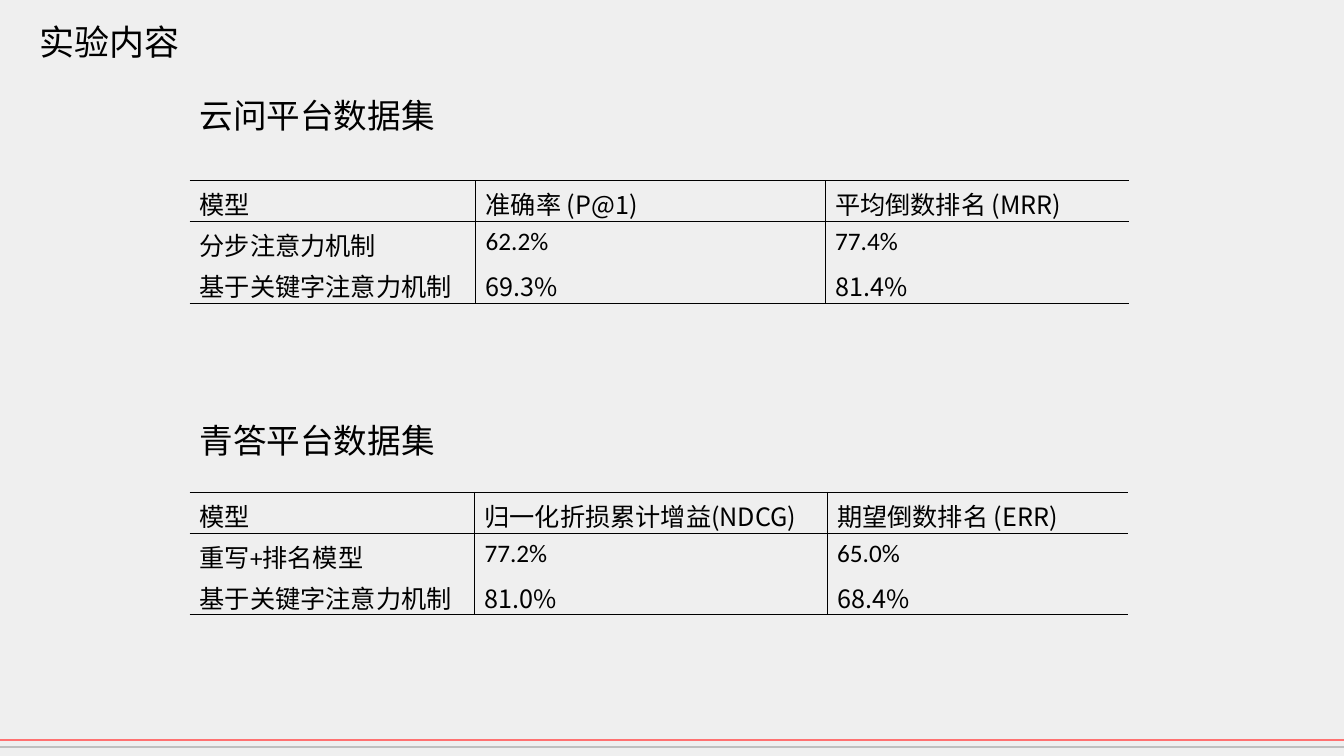
"""Build the slide that compares attention models on two platform data sets."""
from lxml.etree import SubElement
from pptx import Presentation
from pptx.dml.color import RGBColor
from pptx.enum.shapes import MSO_CONNECTOR
from pptx.enum.text import MSO_ANCHOR, PP_ALIGN
from pptx.oxml.ns import qn
from pptx.util import Cm, Pt

TITLE = "实验内容"
DATASETS = [
    {
        "heading": "云问平台数据集", "heading_top": 2.26, "table_top": 4.55,
        "columns": [7.21, 8.81, 7.65], "row_height": 1.03,
        "rows": [
            ("模型", "准确率 (P@1)", "平均倒数排名 (MRR)"),
            ("分步注意力机制", "62.2%", "77.4%"),
            ("基于关键字注意力机制", "69.3%", "81.4%"),
        ],
    },
    {
        "heading": "青答平台数据集", "heading_top": 10.46, "table_top": 12.4,
        "columns": [7.18, 8.89, 7.59], "row_height": 1.03,
        "rows": [
            ("模型", "归一化折损累计增益(NDCG)", "期望倒数排名 (ERR)"),
            ("重写+排名模型", "77.2%", "65.0%"),
            ("基于关键字注意力机制", "81.0%", "68.4%"),
        ],
    },
]
CJK_FONT = "Noto Sans CJK SC"
ROW_FONTS = [CJK_FONT, "Calibri", CJK_FONT]

BLACK = RGBColor(0x00, 0x00, 0x00)
BACKGROUND = RGBColor(0xEF, 0xEF, 0xEF)
RED = RGBColor(0xFF, 0x71, 0x71)
GREY = RGBColor(0xBF, 0xBF, 0xBF)
FOOTER_RULES = [(18.64, RED), (18.82, GREY)]

SLIDE_WIDTH, SLIDE_HEIGHT = Cm(33.88), Cm(19.05)
CONTENT_LEFT = Cm(4.78)
BORDER_WIDTH = Pt(0.45)


def write(frame, text, size, font_name):
    frame.text = text
    paragraph = frame.paragraphs[0]
    paragraph.alignment = PP_ALIGN.LEFT
    font = paragraph.runs[0].font
    font.size, font.name = Pt(size), font_name
    font.color.rgb = BLACK
    SubElement(font._element, qn("a:ea"), typeface=CJK_FONT)


def set_borders(cell, ruled_sides):
    properties = cell._tc.get_or_add_tcPr()
    for position, side in enumerate(("L", "R", "T", "B")):
        border = properties.makeelement(qn(f"a:ln{side}"), {"w": str(BORDER_WIDTH)})
        properties.insert(position, border)
        if side in ruled_sides:
            fill = SubElement(border, qn("a:solidFill"))
            SubElement(fill, qn("a:srgbClr"), val=str(BLACK))
        else:
            SubElement(border, qn("a:noFill"))


def add_footer_rule(slide, top, color):
    rule = slide.shapes.add_connector(
        MSO_CONNECTOR.STRAIGHT, 0, Cm(top), SLIDE_WIDTH, Cm(top))
    rule.line.color.rgb = color
    rule.line.width = Pt(1.5)
    SubElement(rule._element.spPr, qn("a:effectLst"))


def add_dataset(slide, dataset):
    heading = slide.shapes.add_textbox(
        CONTENT_LEFT, Cm(dataset["heading_top"]), Cm(7.29), Cm(1.27))
    heading.text_frame.word_wrap = True
    write(heading.text_frame, dataset["heading"], 24, "Arial")

    rows, columns = dataset["rows"], dataset["columns"]
    table = slide.shapes.add_table(
        len(rows), len(columns), CONTENT_LEFT, Cm(dataset["table_top"]),
        Cm(sum(columns)), Cm(dataset["row_height"] * len(rows))).table
    table.first_row = table.horz_banding = False
    for column, width in zip(table.columns, columns):
        column.width = Cm(width)
    for r, (row, font_name) in enumerate(zip(rows, ROW_FONTS)):
        table.rows[r].height = Cm(dataset["row_height"])
        for c, text in enumerate(row):
            cell = table.cell(r, c)
            cell.fill.background()
            write(cell.text_frame, text, 18, font_name)
            rules = {
                "L": c > 0,
                "R": c < len(columns) - 1,
                "T": r < 2,
                "B": r in (0, len(rows) - 1),
            }
            set_borders(cell, [side for side, ruled in rules.items() if ruled])


def main():
    presentation = Presentation()
    presentation.slide_width = SLIDE_WIDTH
    presentation.slide_height = SLIDE_HEIGHT
    slide = presentation.slides.add_slide(presentation.slide_layouts[5])
    slide.background.fill.solid()
    slide.background.fill.fore_color.rgb = BACKGROUND

    for top, color in FOOTER_RULES:
        add_footer_rule(slide, top, color)
    for dataset in DATASETS:
        add_dataset(slide, dataset)

    title = slide.shapes.title
    title.left, title.top, title.width, title.height = Cm(0.74), Cm(0.38), Cm(5), Cm(1.32)
    title.text_frame.word_wrap = True
    title.text_frame.vertical_anchor = MSO_ANCHOR.TOP
    write(title.text_frame, TITLE, 25, "DejaVu Sans Mono")

    presentation.save("out.pptx")


if __name__ == "__main__":
    main()
